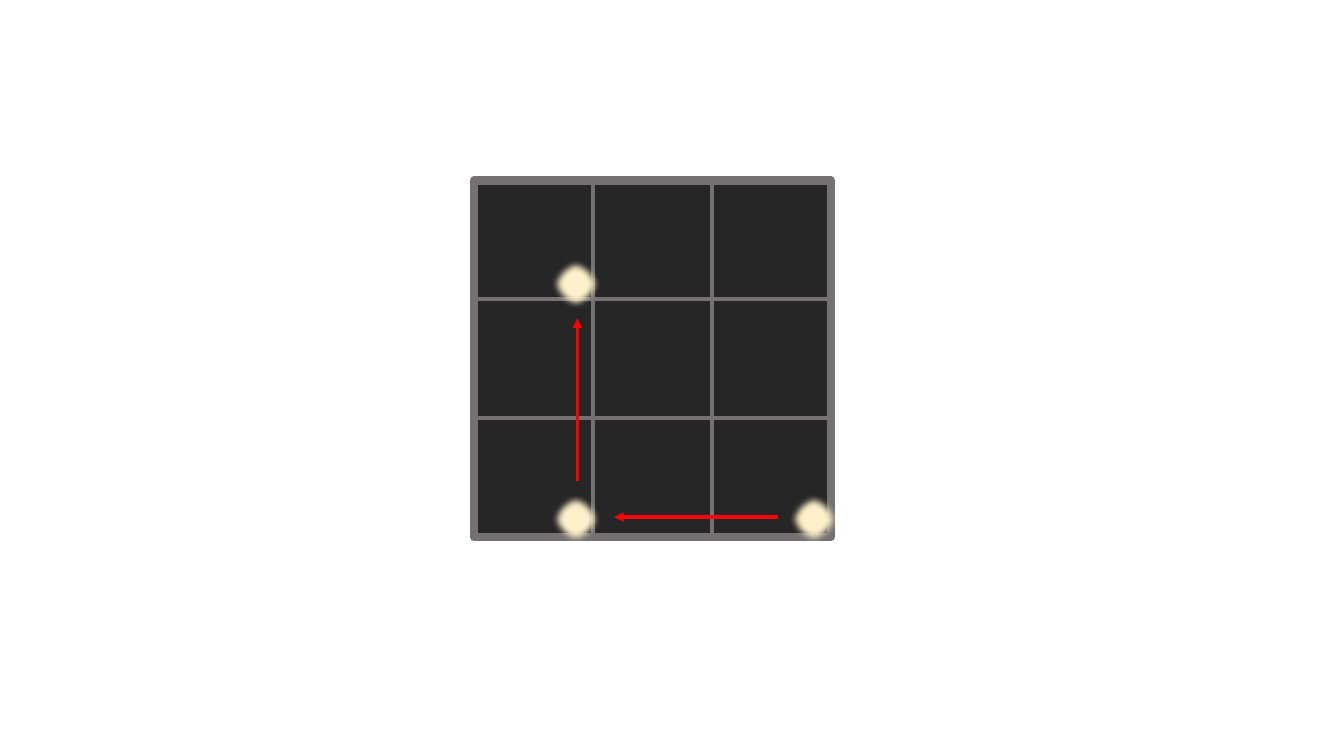
"""Draw a dark three-by-three board with glowing lights and the moves between them."""
import pptx
import pptx.dml.color
import pptx.enum.shapes
import pptx.oxml
import pptx.oxml.ns
import pptx.util

SLIDE_WIDTH, SLIDE_HEIGHT = 13.33, 7.5
BOARD_LEFT, BOARD_TOP = 4.7, 1.79
CELL, CELLS = 1.18, 3
LIGHT_SIZE, GLOW_FADE = 0.51, 5

BOARD, GRID, LIGHT, RIM, MOVE = "262626", "767171", "FFF2CC", "FFFF00", "FF0000"

LIGHTS = [(2.86, 2.85), (0.86, 2.85), (0.86, 0.87)]
MOVES = [((2.56, 2.83), (1.18, 2.83)), ((0.87, 2.53), (0.87, 1.16))]


def color(hex_code):
    return pptx.dml.color.RGBColor.from_string(hex_code)


def place(column, row):
    return (pptx.util.Inches(BOARD_LEFT + column * CELL),
            pptx.util.Inches(BOARD_TOP + row * CELL))


def element(tag, attributes=""):
    return pptx.oxml.parse_xml(
        f"<a:{tag} {pptx.oxml.ns.nsdecls('a')} {attributes}/>")


def add_filled(kind, corner, size, fill, outline, width):
    side = pptx.util.Inches(size)
    shape = slide.shapes.add_shape(kind, *corner, side, side)
    shape.shadow.inherit = False
    shape.fill.solid()
    shape.fill.fore_color.rgb = color(fill)
    shape.line.color.rgb = color(outline)
    shape.line.width = pptx.util.Pt(width)
    return shape


def add_line(start, end, stroke, width):
    line = slide.shapes.add_connector(
        pptx.enum.shapes.MSO_CONNECTOR.STRAIGHT, *place(*start), *place(*end))
    line.line.color.rgb = color(stroke)
    line.line.width = pptx.util.Pt(width)
    line._element.spPr.append(element("effectLst"))
    return line


deck = pptx.Presentation()
deck.slide_width = pptx.util.Inches(SLIDE_WIDTH)
deck.slide_height = pptx.util.Inches(SLIDE_HEIGHT)
slide = deck.slides.add_slide(deck.slide_layouts[6])

shapes = pptx.enum.shapes.MSO_SHAPE
add_filled(shapes.RECTANGLE, place(0, 0), CELLS * CELL, BOARD, GRID, 6)

for step in range(1, CELLS):
    add_line((0, step), (CELLS, step), GRID, 3)
for step in range(1, CELLS):
    add_line((step, 0), (step, CELLS), GRID, 3)

half_light = LIGHT_SIZE / CELL / 2
for column, row in LIGHTS:
    corner = place(column - half_light, row - half_light)
    light = add_filled(shapes.OVAL, corner, LIGHT_SIZE, LIGHT, RIM, 1)
    effects = light._element.spPr.find(pptx.oxml.ns.qn("a:effectLst"))
    effects.append(element("softEdge", f'rad="{pptx.util.Pt(GLOW_FADE)}"'))

for start, end in MOVES:
    move = add_line(start, end, MOVE, 2.25)
    move.line._get_or_add_ln().append(element("tailEnd", 'type="triangle"'))

deck.save("out.pptx")
